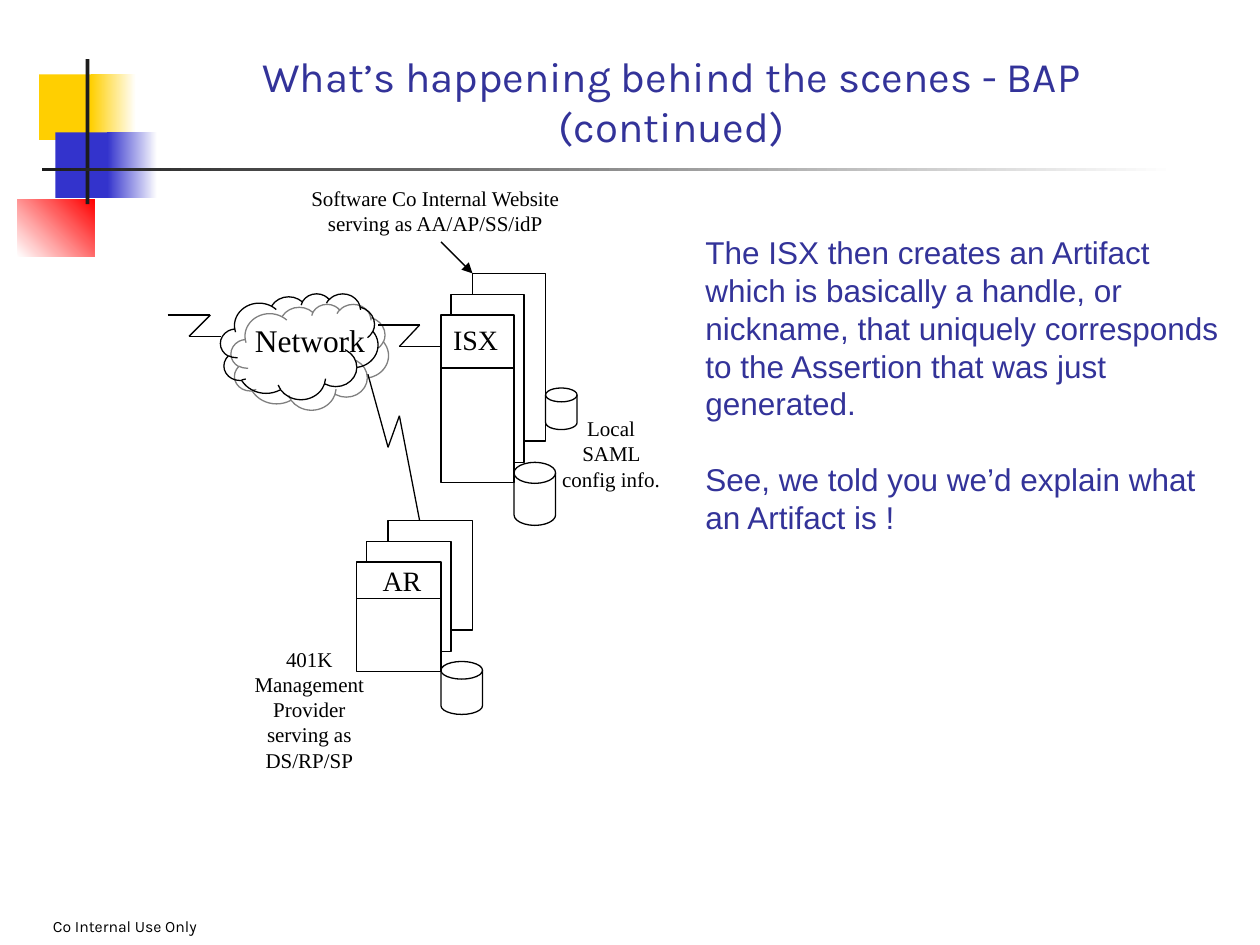
"""Build the slide on how the ISX creates an Artifact."""
from dataclasses import dataclass
from itertools import pairwise

from lxml.etree import SubElement
from pptx import Presentation
from pptx.dml.color import RGBColor
from pptx.enum.shapes import MSO_CONNECTOR, MSO_SHAPE
from pptx.enum.text import MSO_ANCHOR, PP_ALIGN
from pptx.oxml import parse_xml
from pptx.oxml.ns import nsdecls, qn
from pptx.util import Inches, Pt


@dataclass(frozen=True)
class Theme:
    ink: str = "000000"
    paper: str = "FFFFFF"
    navy: str = "333399"
    gold: str = "FFCF01"
    blue: str = "3333CC"
    red: str = "FF0000"
    dark: str = "1C1C1C"
    serif: str = "Times New Roman"
    sans: str = "Arial"
    head: str = "Karla"
    title: int = 24
    body: int = 18
    node: int = 16
    label: int = 12
    foot: int = 9
    lead: float = 1.2
    line: float = 0.75


theme = Theme()
deck = Presentation()
deck.slide_width, deck.slide_height = Inches(10), Inches(7.5)
shapes = deck.slides.add_slide(deck.slide_layouts[6]).shapes


def draw(kind, box, fill=None, line=None):
    shape = shapes.add_shape(kind, *map(Inches, box))
    shape.shadow.inherit = False
    if fill:
        shape.fill.solid()
        shape.fill.fore_color.rgb = RGBColor.from_string(fill)
    else:
        shape.fill.background()
    if line:
        shape.line.color.rgb = RGBColor.from_string(line)
        shape.line.width = Pt(theme.line)
    else:
        shape.line.fill.background()
    return shape


def write(box, texts, size, face, tint=theme.ink, align=PP_ALIGN.CENTER):
    frame = shapes.add_textbox(*map(Inches, box)).text_frame
    frame.word_wrap = True
    frame.text = "\n".join(texts)
    for para in frame.paragraphs:
        para.alignment = align
        para.line_spacing = Pt(size * theme.lead)
        para.font.size = Pt(size)
        para.font.name = face
        para.font.color.rgb = RGBColor.from_string(tint)
    return frame


for box, start, end, angle in (
    ((0.31, 0.59, 0.48, 0.52), theme.gold, None, 0),
    ((0.72, 0.59, 0.36, 0.52), theme.gold, theme.paper, 0),
    ((0.44, 1.05, 0.46, 0.52), theme.blue, None, 0),
    ((0.85, 1.05, 0.4, 0.52), theme.blue, theme.paper, 0),
    ((0.14, 1.58, 0.61, 0.46), theme.paper, theme.red, 45),
    ((0.68, 0.47, 0.03, 1.15), theme.dark, None, 0),
    ((0.33, 1.33, 9, 0.03), theme.dark, theme.paper, 0),
):
    block = draw(MSO_SHAPE.RECTANGLE, box, start)
    if end:
        block.fill.gradient()
        block.fill.gradient_angle = angle
        for stop, tint in zip(block.fill.gradient_stops, (start, end)):
            stop.color.rgb = RGBColor.from_string(tint)

cloud = draw(MSO_SHAPE.CLOUD, (1.75, 2.33, 1.25, 0.84), line=theme.ink)
cast = cloud._element.spPr.find(qn("a:effectLst"))
cast.append(parse_xml(
    f'<a:outerShdw {nsdecls("a")} blurRad="0" dist="{Pt(8.5)}" dir="2700000" '
    'algn="ctr" rotWithShape="0"><a:srgbClr val="808080"/></a:outerShdw>'))

for left, top, wide, high in ((3.5, 2.5, 0.58, 1.33), (2.83, 4.46, 0.67, 0.87)):
    for right, rise, fill in (
        (0.25, 0.33, None), (0.08, 0.16, theme.paper), (0, 0, theme.paper)
    ):
        box = (left + right, top - rise, wide, high)
        draw(MSO_SHAPE.RECTANGLE, box, fill, theme.ink)

for box in (
    (4.33, 3.08, 0.25, 0.33), (4.08, 3.67, 0.33, 0.5), (3.5, 5.25, 0.33, 0.42)
):
    draw(MSO_SHAPE.FLOWCHART_MAGNETIC_DISK, box, line=theme.ink)

for points, arrow in (
    (((1.33, 2.5), (1.67, 2.5), (1.5, 2.67), (1.75, 2.67)), False),
    (((3, 2.58), (3.33, 2.58), (3.17, 2.75), (3.5, 2.75)), False),
    (((2.92, 2.97), (3.08, 3.55), (3.17, 3.3), (3.33, 4.13)), False),
    (((3.5, 2.92), (4.08, 2.92)), False),
    (((2.83, 4.75), (3.5, 4.75)), False),
    (((3.5, 1.92), (3.75, 2.17)), True),
):
    for start, end in pairwise(points):
        wire = shapes.add_connector(
            MSO_CONNECTOR.STRAIGHT, *map(Inches, start + end))
        wire.line.color.rgb = RGBColor.from_string(theme.ink)
        wire.line.width = Pt(theme.line)
        if arrow:
            SubElement(wire.line._get_or_add_ln(), qn("a:tailEnd"), type="triangle")
        SubElement(wire._element.spPr, qn("a:effectLst"))

for box, text, size in (
    ((2.33, 1.42, 2.25, 0.5),
     "Software Co Internal Website serving as AA/AP/SS/idP", theme.label),
    ((1.67, 2.5, 1.58, 0.4), "Network", theme.body),
    ((3.42, 2.51, 0.71, 0.37), "ISX", theme.node),
    ((4.33, 3.25, 1.04, 0.7), "Local SAML config info.", theme.label),
    ((2.58, 4.42, 1.22, 0.37), "AR", theme.node),
    ((1.83, 5.08, 1.25, 1.1),
     "401K Management Provider serving as DS/RP/SP", theme.label),
):
    write(box, [text], size, theme.serif)

title = write(
    (1.08, 0.83, 8.5, 0.42),
    ["What’s happening behind the scenes - BAP (continued)"],
    theme.title, theme.head, theme.navy)
title.vertical_anchor = MSO_ANCHOR.BOTTOM

body = write(
    (5.5, 1.5, 4.33, 5.42),
    ["The ISX then creates an Artifact which is basically a handle, or nickname, "
     "that uniquely corresponds to the Assertion that was just generated.",
     "See, we told you we’d explain what an Artifact is !"],
    theme.body, theme.sans, theme.navy, PP_ALIGN.LEFT)
body.margin_top = Inches(0.35)
body.paragraphs[1].space_before = Pt(theme.body * theme.lead)

foot = write(
    (0, 7, 3.17, 0.5), ["Co Internal Use Only"],
    theme.foot, theme.head, align=PP_ALIGN.LEFT)
foot.vertical_anchor = MSO_ANCHOR.BOTTOM
foot.margin_left, foot.margin_bottom = Inches(0.42), Inches(0.07)

deck.save("out.pptx")
